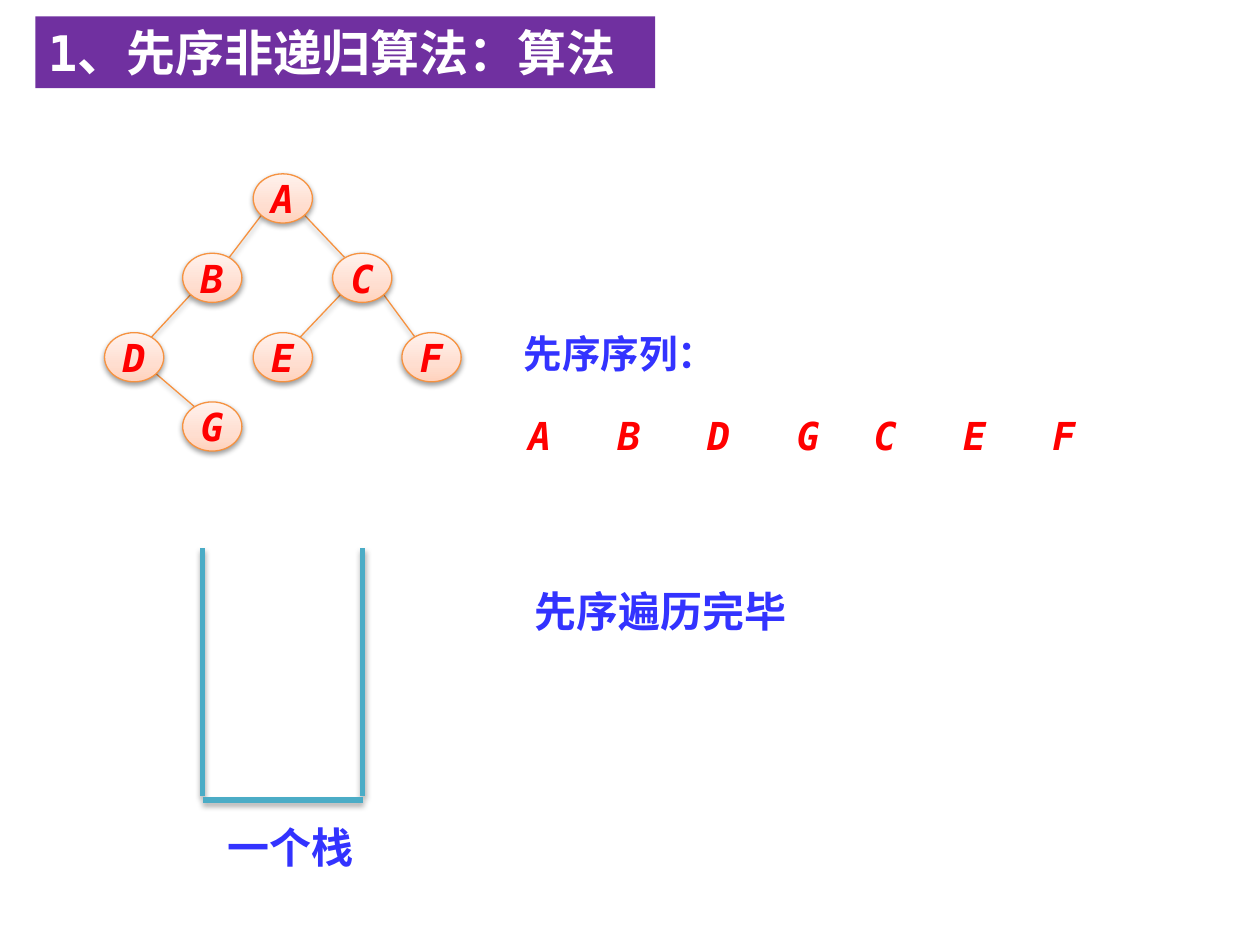
"""Build the slide on non-recursive preorder traversal with a tree and an empty stack."""
import copy

import lxml.etree
import pptx
import pptx.dml.color
import pptx.enum.shapes
import pptx.enum.text
import pptx.oxml.ns
import pptx.util

LATIN, CHINESE = "DejaVu Sans Mono", "Noto Sans CJK SC"
RED, BLUE, WHITE, PURPLE, ORANGE, TEAL = "FF0000", "3333FF", "FFFFFF", "7030A0", "F69240", "4BACC6"
NODE_STOPS = [(0, "FFD2BD"), (0.35, "FFDED0"), (1, "FFF2ED")]

TITLE = ("1、先序非递归算法：算法", (0.28, 0.13, 4.92, 0.57))
COLUMNS = [0.83, 1.45, 2.01, 2.64, 3.19]
ROWS = [1.38, 2.01, 2.64, 3.19]
NODE_WIDTH, NODE_HEIGHT = 0.47, 0.39
NODES = {"A": (2, 0), "B": (1, 1), "C": (3, 1), "D": (0, 2), "E": (2, 2), "G": (1, 3), "F": (4, 2)}
EDGES = ["DG", "AB", "AC", "BD", "CE", "CF"]
EDGE_START, EDGE_END = (0.16, 0.12), (0.11, 0.13)

STACK_LEFT, STACK_RIGHT, STACK_TOP, STACK_FOOT, STACK_BASE = 1.61, 2.88, 4.35, 6.32, 6.35
LABELS = [
    ("一个栈", (1.71, 6.47, 1.26, 0.5), 24, CHINESE),
    ("先序序列：", (4.06, 2.57, 1.89, 0.47), 22, LATIN),
    ("先序遍历完毕", (4.14, 4.6, 2.99, 0.5), 24, CHINESE),
]
SEQUENCE = [("ABDG", 4.05), ("CEF", 6.79)]
SEQUENCE_TOP, SEQUENCE_STEP, SEQUENCE_HEIGHT = 3.27, 0.71, 0.37

LEFT, CENTER = pptx.enum.text.PP_ALIGN.LEFT, pptx.enum.text.PP_ALIGN.CENTER
TOP, MIDDLE = pptx.enum.text.MSO_ANCHOR.TOP, pptx.enum.text.MSO_ANCHOR.MIDDLE
NO_MARGINS = dict.fromkeys(["margin_left", "margin_right", "margin_top", "margin_bottom"], 0)
LETTER = {"size": pptx.util.Pt(22), "name": LATIN, "bold": True, "italic": True}


def color(value):
    return pptx.dml.color.RGBColor.from_string(value)


def inches(values):
    return [pptx.util.Inches(value) for value in values]


def apply(target, values):
    for name, value in values.items():
        setattr(target, name, value)


def write(shape, text, font, text_color, alignment=LEFT, **frame):
    apply(shape.text_frame, {"vertical_anchor": TOP, "word_wrap": True, **frame})
    paragraph = shape.text_frame.paragraphs[0]
    paragraph.alignment = alignment
    run = paragraph.add_run()
    run.text = text
    apply(run.font, font)
    run.font.color.rgb = color(text_color)
    properties = run.font._element
    lxml.etree.SubElement(properties, pptx.oxml.ns.qn("a:ea"), typeface=CHINESE)


def add_shadow(shape, opacity, distance):
    qn = pptx.oxml.ns.qn
    effects = lxml.etree.SubElement(shape._element.spPr, qn("a:effectLst"))
    shadow = lxml.etree.SubElement(effects, qn("a:outerShdw"), blurRad="40000",
                                   dist=str(distance), dir="5400000", rotWithShape="0")
    black = lxml.etree.SubElement(shadow, qn("a:srgbClr"), val="000000")
    lxml.etree.SubElement(black, qn("a:alpha"), val=str(opacity * 1000))


def set_line(shape, line_color, width):
    shape.line.color.rgb = color(line_color)
    shape.line.width = pptx.util.Pt(width)


def add_line(slide, start, end, line_color, width, opacity, distance):
    straight = pptx.enum.shapes.MSO_CONNECTOR.STRAIGHT
    connector = slide.shapes.add_connector(straight, *inches([*start, *end]))
    set_line(connector, line_color, width)
    add_shadow(connector, opacity, distance)


def node_center(letter):
    column, row = NODES[letter]
    return COLUMNS[column] + NODE_WIDTH / 2, ROWS[row] + NODE_HEIGHT / 2


def add_edge(slide, parent, child):
    (parent_x, parent_y), (child_x, child_y) = node_center(parent), node_center(child)
    side = 1 if child_x > parent_x else -1
    start = (parent_x + side * EDGE_START[0], parent_y + EDGE_START[1])
    end = (child_x - side * EDGE_END[0], child_y - EDGE_END[1])
    add_line(slide, start, end, ORANGE, 0.75, 38, 20000)


def add_node(slide, letter, column, row):
    box = inches([COLUMNS[column], ROWS[row], NODE_WIDTH, NODE_HEIGHT])
    node = slide.shapes.add_shape(pptx.enum.shapes.MSO_SHAPE.OVAL, *box)
    node.fill.gradient()
    node.fill.gradient_angle = 90
    stop_list = node._element.spPr.find(".//" + pptx.oxml.ns.qn("a:gsLst"))
    stop_list.append(copy.deepcopy(stop_list[-1]))
    for stop, (position, stop_color) in zip(node.fill.gradient_stops, NODE_STOPS):
        stop.position = position
        stop.color.rgb = color(stop_color)
    set_line(node, ORANGE, 0.75)
    add_shadow(node, 38, 20000)
    write(node, letter, LETTER, RED, CENTER, **NO_MARGINS, vertical_anchor=MIDDLE, word_wrap=False)


def add_title(slide):
    text, box = TITLE
    title = slide.shapes.title
    apply(title, dict(zip(["left", "top", "width", "height"], inches(box))))
    title.fill.solid()
    title.fill.fore_color.rgb = color(PURPLE)
    font = {"size": pptx.util.Pt(28), "name": LATIN, "bold": True}
    write(title, text, font, WHITE, auto_size=pptx.enum.text.MSO_AUTO_SIZE.NONE)


def add_stack(slide):
    sides = [((x, STACK_TOP), (x, STACK_FOOT)) for x in (STACK_LEFT, STACK_RIGHT)]
    for start, end in sides + [((STACK_LEFT, STACK_BASE), (STACK_RIGHT, STACK_BASE))]:
        add_line(slide, start, end, TEAL, 3, 35, 23000)


def add_texts(slide):
    for text, box, size, name in LABELS:
        font = {"size": pptx.util.Pt(size), "name": name, "bold": True}
        write(slide.shapes.add_textbox(*inches(box)), text, font, BLUE)
    for letters, left in SEQUENCE:
        for index, letter in enumerate(letters):
            box = [left + index * SEQUENCE_STEP, SEQUENCE_TOP, NODE_WIDTH, SEQUENCE_HEIGHT]
            textbox = slide.shapes.add_textbox(*inches(box))
            write(textbox, letter, LETTER, RED, CENTER, **NO_MARGINS)


def main():
    presentation = pptx.Presentation()
    apply(presentation, dict(zip(["slide_width", "slide_height"], inches([10, 7.5]))))
    slide = presentation.slides.add_slide(presentation.slide_layouts.get_by_name("Title Only"))
    add_title(slide)
    for parent, child in EDGES:
        add_edge(slide, parent, child)
    for letter, (column, row) in NODES.items():
        add_node(slide, letter, column, row)
    add_stack(slide)
    add_texts(slide)
    presentation.save("out.pptx")


if __name__ == "__main__":
    main()
